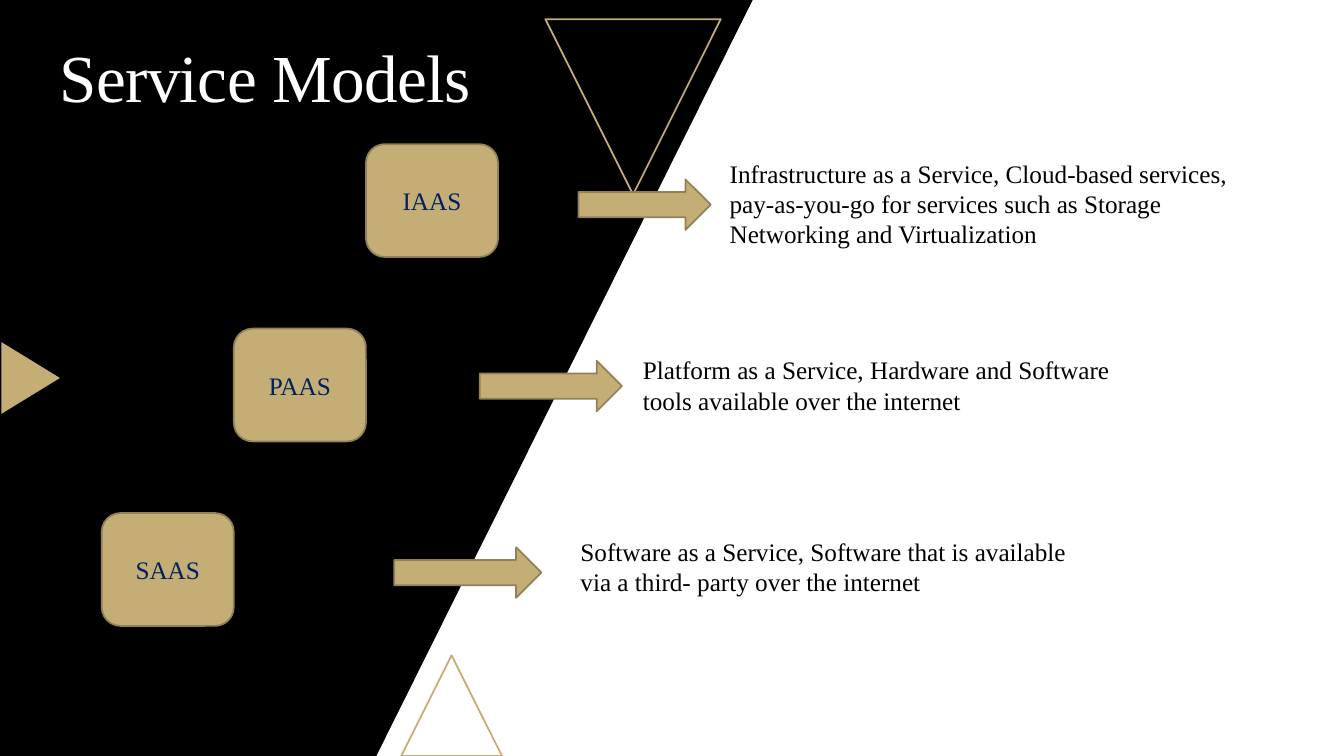
"""Build the Service Models slide."""
from dataclasses import dataclass

from pptx import Presentation
from pptx.dml.color import RGBColor
from pptx.enum.shapes import MSO_SHAPE as Preset
from pptx.enum.text import MSO_ANCHOR as Anchor, MSO_AUTO_SIZE as AutoSize, PP_ALIGN as Align
from pptx.util import Inches, Pt

COLORS = {
    "black": "000000",
    "white": "FFFFFF",
    "gold": "C4AE75",
    "bronze": "918157",
    "navy": "002060",
}
FONT = "Times New Roman"
WIDTH, HEIGHT = Inches(13.33), Inches(7.5)
COLUMN, ROW = WIDTH / 100, HEIGHT / 100


@dataclass(frozen=True)
class Area:
    """A rectangle in hundredths of the slide's width and height."""
    left: float
    top: float
    width: float
    height: float

    def frame(self) -> tuple[int, int, int, int]:
        return (round(self.left * COLUMN), round(self.top * ROW),
                round(self.width * COLUMN), round(self.height * ROW))


@dataclass(frozen=True)
class Triangle:
    area: Area
    rotation: int
    fill: str | None
    line: str | None


@dataclass(frozen=True)
class Service:
    name: str
    description: str
    text: Area
    arrow: Area


TRIANGLES = [
    Triangle(Area(29.85, 86.67, 7.5, 13.33), 0, None, "gold"),
    Triangle(Area(40.58, 2.53, 13.05, 23.2), 180, None, "gold"),
    Triangle(Area(-0.38, 46.13, 5.33, 7.73), 90, "gold", None),
]
SERVICES = [
    Service("IAAS",
            "Infrastructure as a Service, Cloud-based services, pay-as-you-go "
            "for services such as Storage Networking and Virtualization",
            Area(53.55, 20.27, 40.88, 13.47), Area(43.05, 23.73, 9.83, 6.67)),
    Service("PAAS",
            "Platform as a Service, Hardware and Software tools available over the internet",
            Area(47.1, 46.27, 37.65, 9.47), Area(35.7, 47.73, 10.58, 6.67)),
    Service("SAAS",
            "Software as a Service, Software that is available via a third- party over the internet",
            Area(42.45, 70.27, 39.45, 9.47), Area(29.33, 72.4, 10.95, 6.67)),
]
FIRST_CARD = Area(27.23, 19.07, 9.83, 14.93)
CARD_STEP = 24.4


def color(name: str) -> RGBColor:
    return RGBColor.from_string(COLORS[name])


def paint(shape, fill: str | None, line: str | None) -> None:
    shape.shadow.inherit = False
    if fill:
        shape.fill.solid()
        shape.fill.fore_color.rgb = color(fill)
    else:
        shape.fill.background()
    if line:
        shape.line.color.rgb = color(line)
        shape.line.width = Pt(1.25)
    else:
        shape.line.fill.background()


def write(shape, text: str, size: int, ink: str, align: Align, anchor: Anchor):
    frame = shape.text_frame
    frame.word_wrap = True
    frame.vertical_anchor = anchor
    para = frame.paragraphs[0]
    para.text = text
    para.alignment = align
    para.font.name = FONT
    para.font.size = Pt(size)
    para.font.color.rgb = color(ink)
    return para


def draw_panel(page) -> None:
    builder = page.shapes.build_freeform(0, 0, scale=(COLUMN, ROW))
    builder.add_line_segments([(56.48, 0.13), (28.28, 100), (0, 100)], close=True)
    paint(builder.convert_to_shape(), "black", None)


def draw_triangle(page, triangle: Triangle) -> None:
    shape = page.shapes.add_shape(Preset.ISOSCELES_TRIANGLE, *triangle.area.frame())
    shape.rotation = triangle.rotation
    paint(shape, triangle.fill, triangle.line)


def draw_title(page) -> None:
    title = page.shapes.title
    page.shapes.element.append(title.element)
    title.left, title.top, title.width, title.height = Area(0, 0, 39.45, 21.47).frame()
    para = write(title, "Service Models", 48, "white", Align.CENTER, Anchor.MIDDLE)
    para.line_spacing = 0.9
    para.runs[0]._r.get_or_add_rPr().set("spc", "-50")


def draw_service(page, index: int, service: Service) -> None:
    card_area = Area(FIRST_CARD.left - index * FIRST_CARD.width,
                     FIRST_CARD.top + index * CARD_STEP,
                     FIRST_CARD.width, FIRST_CARD.height)
    card = page.shapes.add_shape(Preset.ROUNDED_RECTANGLE, *card_area.frame())
    paint(card, "gold", "bronze")
    write(card, service.name, 18, "navy", Align.CENTER, Anchor.MIDDLE)

    box = page.shapes.add_textbox(*service.text.frame())
    write(box, service.description, 18, "black", Align.LEFT, Anchor.TOP)
    box.text_frame.auto_size = AutoSize.SHAPE_TO_FIT_TEXT

    arrow = page.shapes.add_shape(Preset.RIGHT_ARROW, *service.arrow.frame())
    paint(arrow, "gold", "bronze")


def main() -> None:
    deck = Presentation()
    deck.slide_width, deck.slide_height = WIDTH, HEIGHT
    page = deck.slides.add_slide(deck.slide_layouts.get_by_name("Title Only"))
    page.background.fill.solid()
    page.background.fill.fore_color.rgb = color("white")
    draw_panel(page)
    for triangle in TRIANGLES:
        draw_triangle(page, triangle)
    draw_title(page)
    for index, service in enumerate(SERVICES):
        draw_service(page, index, service)
    deck.save("out.pptx")


if __name__ == "__main__":
    main()
